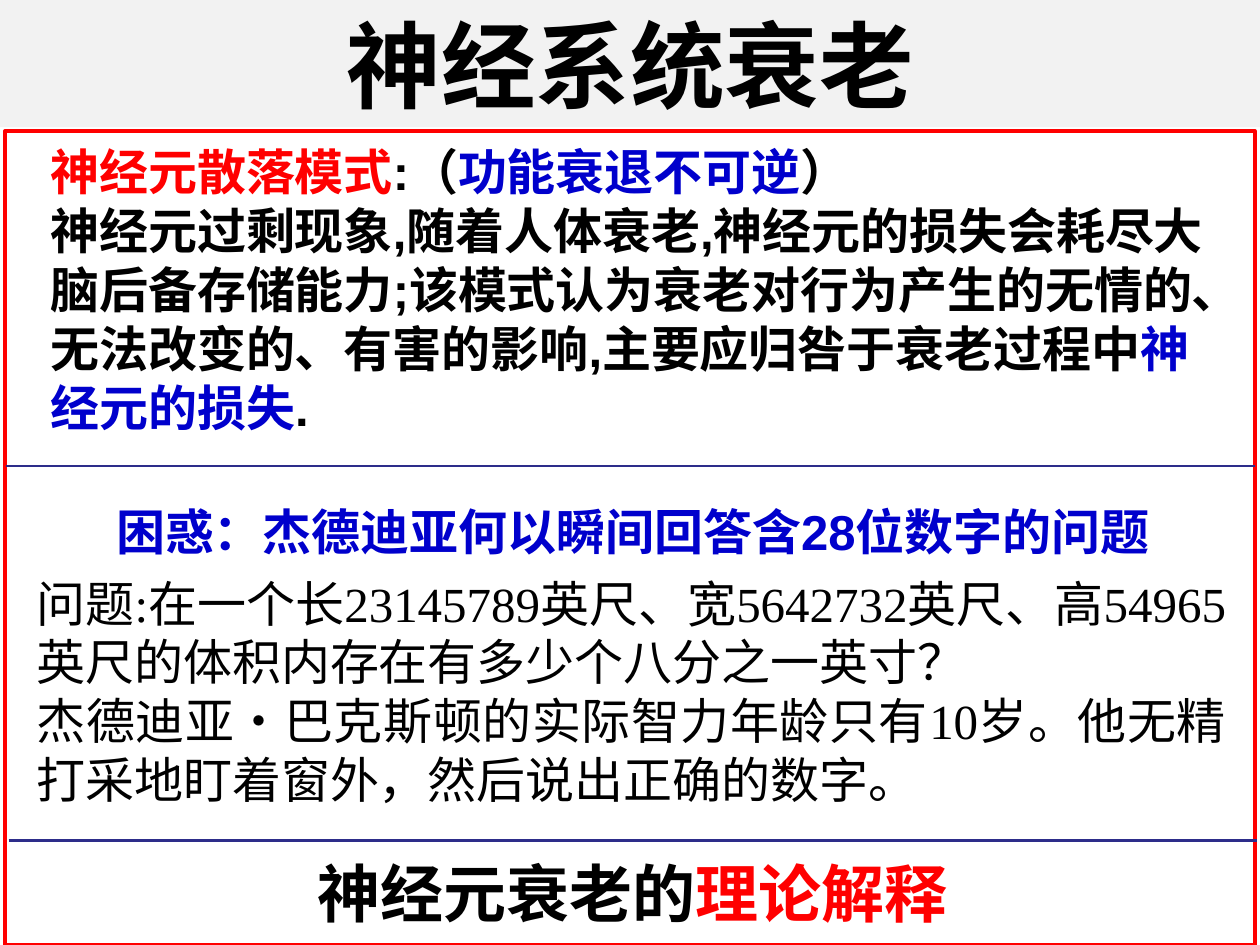
from typing import NamedTuple

from lxml.etree import SubElement
from pptx import Presentation
from pptx.dml.color import RGBColor
from pptx.enum.shapes import MSO_CONNECTOR, MSO_SHAPE
from pptx.enum.text import MSO_ANCHOR as Anchor, MSO_AUTO_SIZE as AutoSize, PP_ALIGN as Align
from pptx.oxml.ns import qn
from pptx.util import Pt

BLACK, RED, BLUE, NAVY, GREY = "000000", "FF0000", "0000CC", "2D2D8A", "F2F2F2"
CJK_FONT = "Noto Sans CJK SC"


class Box(NamedTuple):
    left: float
    top: float
    width: float
    height: float


class Style(NamedTuple):
    font: str
    size: float
    bold: bool
    align: Align


class Span(NamedTuple):
    text: str
    color: str = BLACK


class Passage(NamedTuple):
    box: Box
    style: Style
    paragraphs: list[list[Span]]
    anchor: Anchor = Anchor.MIDDLE
    inset: tuple[float, float] = (0, 0)


def rgb(value: str) -> RGBColor:
    return RGBColor.from_string(value)


def place(shape, box: Box) -> None:
    shape.left, shape.top, shape.width, shape.height = map(Pt, box)


def write(shape, passage: Passage, wrap: bool = True) -> None:
    frame = shape.text_frame
    frame.word_wrap = wrap
    frame.auto_size = AutoSize.NONE
    frame.vertical_anchor = passage.anchor
    frame.margin_left = frame.margin_right = Pt(passage.inset[0])
    frame.margin_top = frame.margin_bottom = Pt(passage.inset[1])
    style = passage.style
    for index, spans in enumerate(passage.paragraphs):
        paragraph = frame.add_paragraph() if index else frame.paragraphs[0]
        paragraph.alignment = style.align
        paragraph.font.name = style.font
        paragraph.font.size = Pt(style.size)
        paragraph.font.bold = style.bold
        for span in spans:
            run = paragraph.add_run()
            run.text = span.text
            run.font.color.rgb = rgb(span.color)
            SubElement(run.font._element, qn("a:ea"), typeface=CJK_FONT)


def add_passage(slide, passage: Passage) -> None:
    write(slide.shapes.add_textbox(*map(Pt, passage.box)), passage)


def add_frame(slide, box: Box) -> None:
    frame = slide.shapes.add_shape(MSO_SHAPE.RECTANGLE, *map(Pt, box))
    frame.shadow.inherit = False
    frame.fill.background()
    frame.line.color.rgb = rgb(RED)
    frame.line.width = Pt(2)


def add_divider(slide, left: float, y: float, width: float) -> None:
    divider = slide.shapes.add_connector(
        MSO_CONNECTOR.STRAIGHT, Pt(left), Pt(y), Pt(left + width), Pt(y))
    divider.line.color.rgb = rgb(NAVY)
    divider.line.width = Pt(1.5)
    SubElement(divider._element.spPr, qn("a:effectLst"))


HEADING = Passage(
    Box(0, 0, 720, 72.7), Style(CJK_FONT, 54, True, Align.CENTER),
    [[Span("神经系统衰老")]], inset=(1.4, 3.6))
PUZZLE = Passage(
    Box(6.5, 283, 710, 41), Style("Arial", 28, True, Align.CENTER),
    [[Span("困惑：杰德迪亚何以瞬间回答含28位数字的问题", BLUE)]],
    Anchor.TOP, (7.2, 3.6))
CONCLUSION = Passage(
    Box(21.6, 484.6, 680, 51), Style("Arial", 36, True, Align.CENTER),
    [[Span("神经元衰老的"), Span("理论解释", RED)]], inset=(7.2, 3.6))
SCATTER_MODEL = Passage(
    Box(28.8, 80, 672.5, 170), Style("Arial", 28, True, Align.LEFT),
    [[Span("神经元散落模式", RED), Span(":（"), Span("功能衰退不可逆", BLUE), Span("）")],
     [Span("神经元过剩现象,随着人体衰老,神经元的损失会耗尽大脑后备存储能力;"
           "该模式认为衰老对行为产生的无情的、无法改变的、有害的影响,主要应归咎于衰老过程中"),
      Span("神经元的损失", BLUE), Span(".")]])
CALCULATION = Passage(
    Box(20.9, 327, 679.7, 135.4), Style("Times New Roman", 28, False, Align.JUSTIFY),
    [[Span("问题:在一个长23145789英尺、宽5642732英尺、高54965英尺的体积内存在有多少个八分之一英寸？")],
     [Span("杰德迪亚•巴克斯顿的实际智力年龄只有10岁。他无精打采地盯着窗外，然后说出正确的数字。")]])


def main() -> None:
    deck = Presentation()
    deck.slide_width, deck.slide_height = Pt(720), Pt(540)
    slide = deck.slides.add_slide(deck.slide_layouts[5])

    title = slide.shapes.title
    place(title, HEADING.box)
    title.fill.solid()
    title.fill.fore_color.rgb = rgb(GREY)
    write(title, HEADING, wrap=False)

    add_frame(slide, Box(2.9, 74.9, 714.2, 465))
    add_divider(slide, 3.6, 266.4, 713.5)
    for passage in (PUZZLE, CONCLUSION, SCATTER_MODEL, CALCULATION):
        add_passage(slide, passage)
    add_divider(slide, 5, 480.2, 713.5)
    deck.save("out.pptx")


if __name__ == "__main__":
    main()
